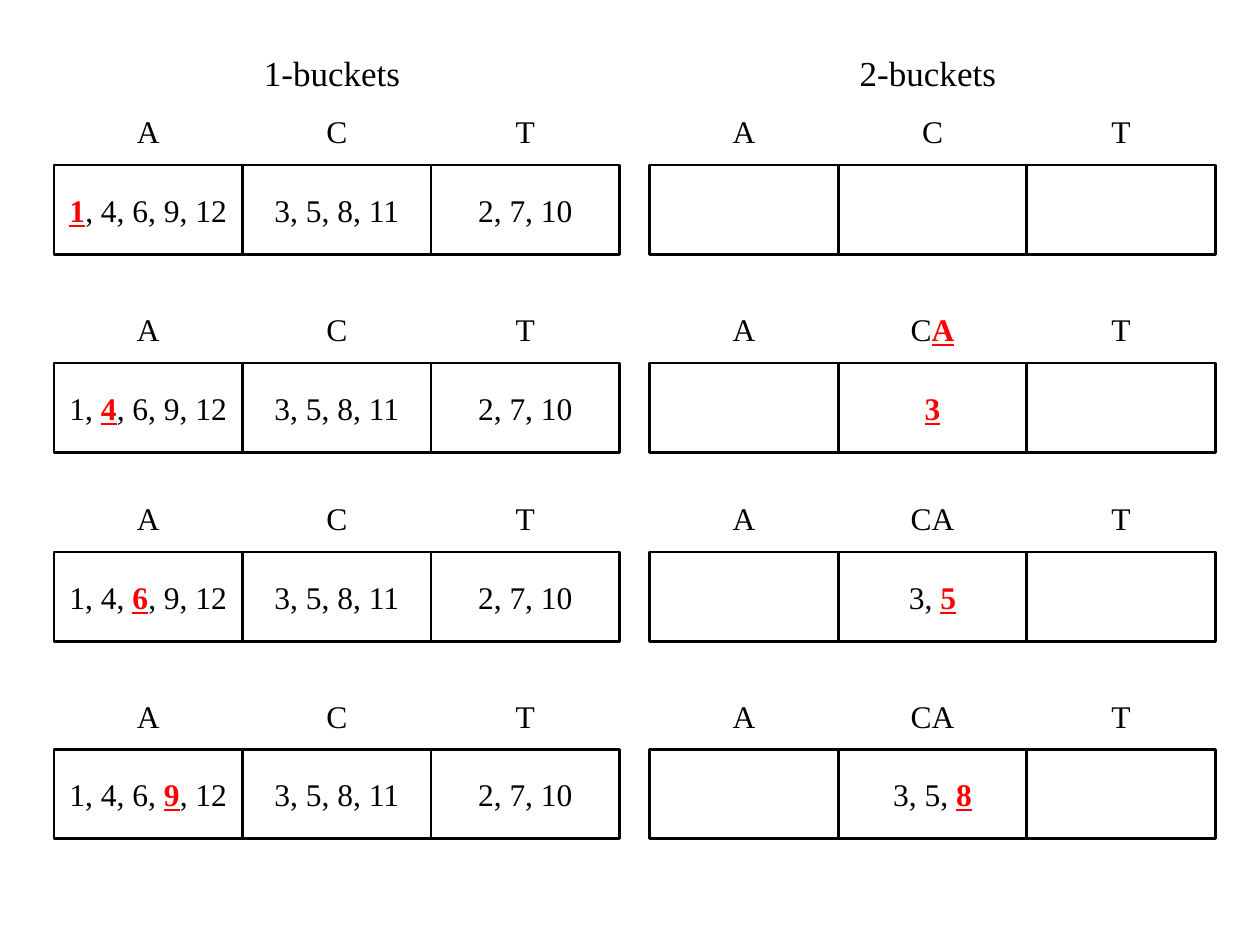
from pptx import Presentation
from pptx.dml.color import RGBColor
from pptx.enum.shapes import MSO_SHAPE
from pptx.enum.text import MSO_ANCHOR, MSO_AUTO_SIZE, PP_ALIGN
from pptx.util import Cm, Pt

BLACK = RGBColor(0x00, 0x00, 0x00)
WHITE = RGBColor(0xFF, 0xFF, 0xFF)
RED = RGBColor(0xFF, 0x00, 0x00)

RECTANGLE = MSO_SHAPE.RECTANGLE
CENTER = PP_ALIGN.CENTER
MIDDLE = MSO_ANCHOR.MIDDLE
FIT_SHAPE = MSO_AUTO_SIZE.SHAPE_TO_FIT_TEXT

PLAIN = {"name": "Times New Roman", "bold": False, "underline": False}
MARKED = {"name": "Times New Roman", "bold": True, "underline": True}

# Sizes in centimetres
CELL_WIDTH, CELL_HEIGHT = 3.8, 1.8
LABEL_WIDTH, LABEL_HEIGHT, LABEL_RISE = 1.8, 1.02, 1.19
HEADING_WIDTH, HEADING_HEIGHT, HEADING_TOP = 3.61, 1.12, 0.91
ROW_TOPS = [3.33, 7.32, 11.13, 15.11]

# Each row holds labels and bucket contents; asterisks enclose a marked part
POSITIONS = ["*1*, 4, 6, 9, 12", "1, *4*, 6, 9, 12", "1, 4, *6*, 9, 12", "1, 4, 6, *9*, 12"]
ONE_BUCKETS = [("ACT", [text, "3, 5, 8, 11", "2, 7, 10"]) for text in POSITIONS]
TWO_BUCKETS = [
    (["A", label, "T"], ["", text, ""])
    for label, text in [("C", ""), ("C*A*", "*3*"), ("CA", "3, *5*"), ("CA", "3, 5, *8*")]
]
PANELS = [(1.09, "1-buckets", ONE_BUCKETS), (13.1, "2-buckets", TWO_BUCKETS)]


def write_text(shape, text, size):
    """Write centred text, with the parts between asterisks marked."""
    paragraph = shape.text_frame.paragraphs[0]
    paragraph.alignment = CENTER
    for index, part in enumerate(text.split("*")):
        if not part:
            continue
        marked = index % 2 == 1
        run = paragraph.add_run()
        run.text = part
        run.font.size = Pt(size)
        run.font.color.rgb = RED if marked else BLACK
        for name, value in (MARKED if marked else PLAIN).items():
            setattr(run.font, name, value)


def add_label(slide, left, top, width, height, text, size):
    label = slide.shapes.add_textbox(Cm(left), Cm(top), Cm(width), Cm(height))
    label.text_frame.word_wrap = True
    label.text_frame.auto_size = FIT_SHAPE
    write_text(label, text, size)


def add_bucket(slide, left, top, text):
    bucket = slide.shapes.add_shape(
        RECTANGLE, Cm(left), Cm(top), Cm(CELL_WIDTH), Cm(CELL_HEIGHT)
    )
    bucket.shadow.inherit = False
    bucket.fill.solid()
    bucket.fill.fore_color.rgb = WHITE
    bucket.line.color.rgb = BLACK
    bucket.line.width = Pt(1.5)
    bucket.text_frame.word_wrap = False
    bucket.text_frame.vertical_anchor = MIDDLE
    write_text(bucket, text, 18)


def add_bucket_row(slide, left, top, labels, contents):
    """Place three adjoining buckets with a label centred above each."""
    for column, (label, content) in enumerate(zip(labels, contents)):
        cell_left = left + column * CELL_WIDTH
        add_bucket(slide, cell_left, top, content)
        label_left = cell_left + (CELL_WIDTH - LABEL_WIDTH) / 2
        add_label(slide, label_left, top - LABEL_RISE, LABEL_WIDTH, LABEL_HEIGHT, label, 18)


def add_panel(slide, left, heading, rows):
    """Place a heading over the bucket rows of one panel."""
    add_label(
        slide, left + CELL_WIDTH, HEADING_TOP, HEADING_WIDTH, HEADING_HEIGHT, heading, 20
    )
    for top, (labels, contents) in zip(ROW_TOPS, rows):
        add_bucket_row(slide, left, top, labels, contents)


def main():
    presentation = Presentation()
    presentation.slide_width = Cm(25.4)
    presentation.slide_height = Cm(19.05)
    slide = presentation.slides.add_slide(presentation.slide_layouts[6])

    # Left and right panels
    for left, heading, rows in PANELS:
        add_panel(slide, left, heading, rows)

    presentation.save("out.pptx")


if __name__ == "__main__":
    main()
